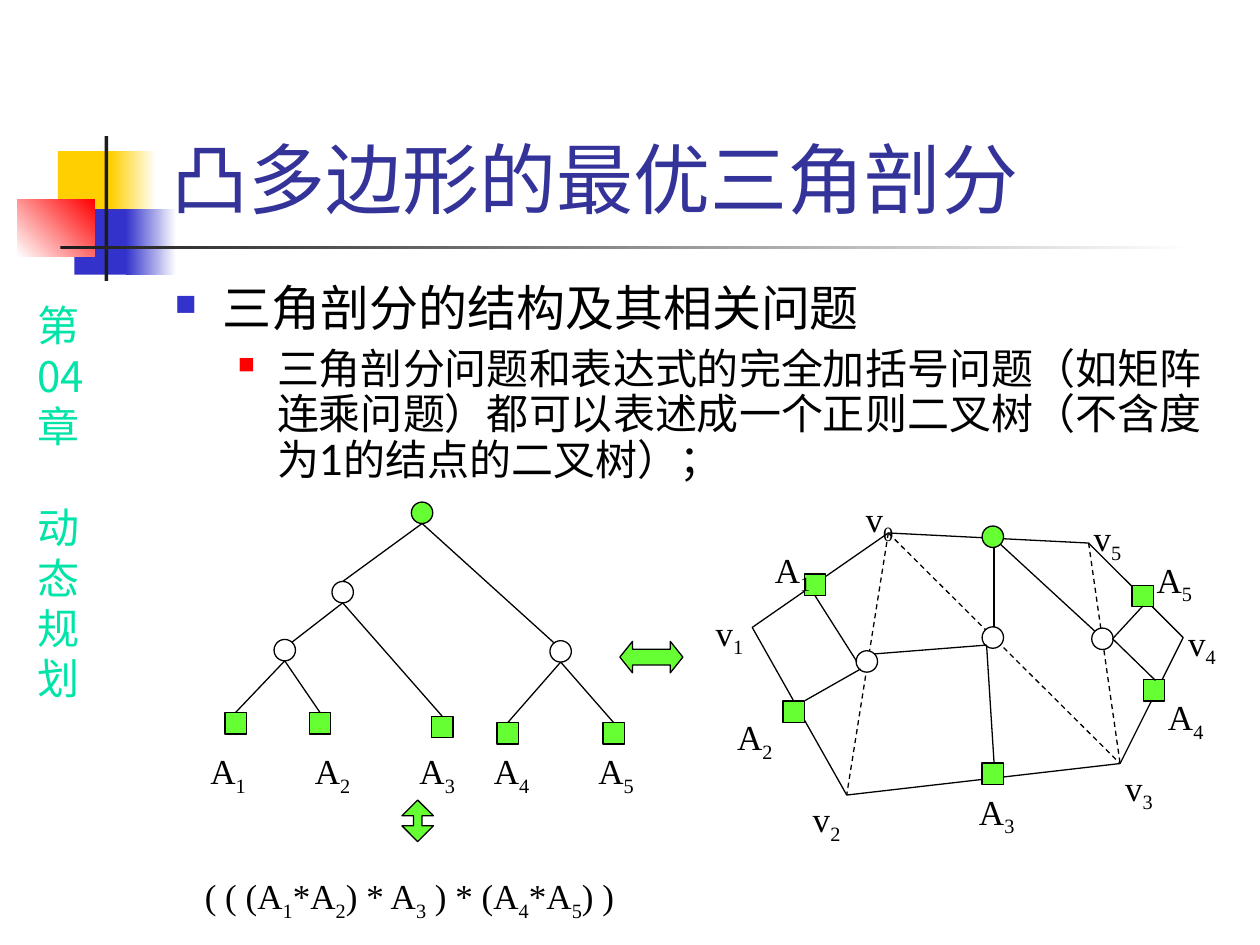
from itertools import groupby

from lxml.etree import SubElement
from pptx import Presentation
from pptx.dml.color import RGBColor
from pptx.enum.dml import MSO_LINE
from pptx.enum.shapes import MSO_CONNECTOR, MSO_SHAPE as SHAPE
from pptx.enum.text import MSO_ANCHOR as ANCHOR, PP_ALIGN as ALIGN
from pptx.oxml.ns import qn
from pptx.util import Inches, Pt

# The grid has 100 columns and 75 rows; every length is in grid steps.
COLS, ROWS, STEP = 100, 75, 0.1
NODE = 1.7
BLACK, WHITE, GREEN = "000000", "FFFFFF", "66FF33"
YELLOW, BLUE, RED, DARK = "FFCF01", "3333CC", "FF0000", "1C1C1C"
SERIF, SANS, CJK = "Times New Roman", "Lato", "Noto Sans CJK JP"


def grid(*steps):
    return [Inches(n * STEP) for n in steps]


def rgb(value):
    return RGBColor.from_string(value)


def style(target, **fmt):
    for key, value in fmt.items():
        setattr(target, key, value)


def outline(line, dash=None):
    line.color.rgb = rgb(BLACK)
    style(line, width=Pt(0.75), dash_style=dash)


def add_block(shapes, box, fill, angle=0):
    """Borderless bar; a pair of colours makes a gradient."""
    sp = shapes.add_shape(SHAPE.RECTANGLE, *grid(*box))
    sp.shadow.inherit = False
    sp.line.fill.background()
    if isinstance(fill, tuple):
        sp.fill.gradient()
        sp.fill.gradient_angle = angle
        for stop, color, pos in zip(sp.fill.gradient_stops, fill, (0, 1)):
            stop.color.rgb = rgb(color)
            stop.position = pos
    else:
        sp.fill.solid()
        sp.fill.fore_color.rgb = rgb(fill)


def add_outlined(shapes, kind, box, fill, adjust=()):
    sp = shapes.add_shape(kind, *grid(*box))
    sp.shadow.inherit = False
    sp.fill.solid()
    sp.fill.fore_color.rgb = rgb(fill)
    outline(sp.line)
    for i, value in enumerate(adjust):
        sp.adjustments[i] = value


def add_nodes(shapes, kind, centres, fill):
    for x, y in centres:
        add_outlined(shapes, kind, (x - NODE / 2, y - NODE / 2, NODE, NODE), fill)


def add_line(shapes, start, end, dash=None):
    line = shapes.add_connector(MSO_CONNECTOR.STRAIGHT, *grid(*start, *end))
    outline(line.line, dash)
    SubElement(line._element.spPr, qn("a:effectLst"))


def add_text(shapes, box, wrap=True, anchor=ANCHOR.TOP, top=0.5):
    tf = shapes.add_textbox(*grid(*box)).text_frame
    style(tf, word_wrap=wrap, vertical_anchor=anchor, margin_top=grid(top)[0])
    return tf


def add_run(p, text, size, font, color):
    r = p.add_run()
    r.text = text
    style(r.font, size=Pt(size), name=font)
    r.font.color.rgb = rgb(color)
    SubElement(r.font._element, qn("a:ea"), typeface=font)
    return r


def add_formula(shapes, box, text):
    """Centred serif text whose digits are subscripts."""
    p = add_text(shapes, box, wrap=False, top=1.2).paragraphs[0]
    p.alignment = ALIGN.CENTER
    for is_sub, chars in groupby(text, str.isdigit):
        r = add_run(p, "".join(chars), 20, SERIF, BLACK)
        if is_sub:
            r.font._element.set("baseline", "-25000")


def add_labels(shapes, letter, width, corners, first):
    for i, (x, y) in enumerate(corners, first):
        add_formula(shapes, (x, y, width, 4.8), f"{letter}{i}")


def add_bullet(p, text, size, color, percent, left, hang):
    pPr = p._p.get_or_add_pPr()
    style_inches = dict(marL=left, indent=-hang)
    for key, value in style_inches.items():
        pPr.set(key, str(grid(value)[0]))
    SubElement(SubElement(pPr, qn("a:buClr")), qn("a:srgbClr"), val=color)
    SubElement(pPr, qn("a:buSzPct"), val=str(percent * 1000))
    SubElement(pPr, qn("a:buChar"), char="■")
    p.line_spacing = 0.9
    add_run(p, text, size, SANS, BLACK)


def add_decoration(shapes):
    add_block(shapes, (4.6, 12, 4.8, 5.2), YELLOW)
    add_block(shapes, (8.8, 12, 3.6, 5.2), (YELLOW, WHITE))
    add_block(shapes, (5.9, 16.6, 4.6, 5.2), BLUE)
    add_block(shapes, (10, 16.6, 4, 5.2), (BLUE, WHITE))
    add_block(shapes, (1.4, 15.8, 6.1, 4.6), (WHITE, RED), 45)
    add_block(shapes, (8.3, 10.8, 0.3, 11.5), DARK)
    add_block(shapes, (4.8, 19.5, 90, 0.3), (DARK, WHITE))


def add_chapter(shapes):
    tf = add_text(shapes, (2, 23.3, 5.8, 33), wrap=False)
    for i, text in enumerate(("第", "04", "章", "动", "态", "规", "划")):
        p = tf.add_paragraph() if i else tf.paragraphs[0]
        add_run(p, text, 24, CJK, "00E4A8")
        if text == "动":
            p.space_before = Pt(29)


def add_heading_and_body(shapes):
    tf = add_text(shapes, (12.6, 2.3, 85.2, 16), anchor=ANCHOR.BOTTOM)
    add_run(tf.paragraphs[0], "凸多边形的最优三角剖分", 44, SANS, "333399")
    tf = add_text(shapes, (12.9, 22.1, 84.2, 17.3))
    add_bullet(tf.paragraphs[0], "三角剖分的结构及其相关问题", 28, BLUE, 60, 3.8, 3.8)
    p = tf.add_paragraph()
    p.level = 1
    add_bullet(p, "三角剖分问题和表达式的完全加括号问题（如矩阵连乘问题）"
               "都可以表述成一个正则二叉树（不含度为1的结点的二叉树）；",
               24, RED, 55, 8.1, 3.1)
    p.space_before = Pt(6)


def add_polygon(shapes):
    v = [(70.5, 42.3), (59.7, 49.8), (67.2, 63.1), (88.9, 60.6), (93.9, 50.6), (86.4, 43.1)]
    points = [grid(*point) for point in v]
    builder = shapes.build_freeform(*points[0], scale=1.0)
    builder.add_line_segments(points[1:], close=True)
    sp = builder.convert_to_shape()
    sp.shadow.inherit = False
    sp.fill.background()
    outline(sp.line)
    for a, b in ((0, 2), (0, 3), (5, 3)):
        add_line(shapes, v[a], v[b], MSO_LINE.DASH)
    add_labels(shapes, "v", 4.2, [(67.7, 38.3), (55.8, 47.3), (63.5, 62.1),
                                  (88.3, 59.6), (93.3, 48.1), (85.8, 39.8)], 0)

    # One circle per triangle, one square per side
    add_nodes(shapes, SHAPE.OVAL, [(78.8, 42.6)], GREEN)
    add_nodes(shapes, SHAPE.OVAL, [(78.8, 50.6), (87.5, 50.7), (68.8, 52.5)], WHITE)
    add_nodes(shapes, SHAPE.RECTANGLE, [(64.7, 46.4), (63, 56.5), (78.8, 61.4),
                                        (91.6, 54.8), (90.7, 47.3)], GREEN)
    for start, end in (((78.9, 43.5), (78.9, 49.8)), ((79.4, 43.2), (86.9, 50.1)),
                       ((78.3, 51.2), (69.4, 51.9)), ((78.3, 51.2), (78.9, 60.6)),
                       ((68, 52.5), (64.7, 47.3)), ((68.3, 53.1), (63.9, 55.6)),
                       ((88.3, 50.7), (90.7, 48.1)), ((88.3, 50.7), (91.7, 54))):
        add_line(shapes, start, end)
    add_labels(shapes, "A", 4.8, [(60.5, 42.3), (57.5, 55.6), (76.7, 61.5),
                                  (91.7, 54), (90.8, 43.1)], 1)


def add_tree(shapes):
    root, left, right, low = (33.5, 40.7), (27.2, 47), (44.5, 51.7), (22.6, 51.6)
    leaves = [(18.7, 57.4), (25.4, 57.4), (35.1, 57.7), (40.3, 58.2), (48.7, 58.2)]
    add_nodes(shapes, SHAPE.OVAL, [root], GREEN)
    add_nodes(shapes, SHAPE.OVAL, [left, right, low], WHITE)
    add_nodes(shapes, SHAPE.RECTANGLE, leaves, GREEN)

    # Edges run from the foot of a parent to the top of a child, moved by dx, dy
    edges = [(root, left, 0, 0), (root, right, -0.5, 0.2), (left, low, 0.6, 0.2),
             (left, leaves[2], 0, 0), (low, leaves[0], 0, 0), (low, leaves[1], 0, 0),
             (right, leaves[3], 0, 0), (right, leaves[4], 0, 0)]
    for (px, py), (cx, cy), dx, dy in edges:
        add_line(shapes, (px, py + NODE / 2), (cx + dx, cy - NODE / 2 + dy))
    add_labels(shapes, "A", 4.8, [(x, 58.3) for x in (15.7, 24, 32.3, 38.2, 46.5)], 1)


def main():
    prs = Presentation()
    prs.slide_width, prs.slide_height = grid(COLS, ROWS)
    s = prs.slides.add_slide(prs.slide_layouts[6])
    add_decoration(s.shapes)
    add_chapter(s.shapes)
    add_heading_and_body(s.shapes)
    for draw in (add_polygon, add_tree):
        draw(s.shapes.add_group_shape().shapes)

    # Expression and the equivalence arrows
    add_formula(s.shapes, (15.2, 68.2, 34.6, 4.8), "( ( (A1*A2) * A3 ) * (A4*A5) )")
    add_outlined(s.shapes, SHAPE.UP_DOWN_ARROW, (31.9, 63.5, 2.5, 3.3), GREEN, (0.5, 0.27))
    add_outlined(s.shapes, SHAPE.LEFT_RIGHT_ARROW, (49.2, 50.9, 5, 2.5), GREEN, (0.5, 0.4))
    prs.save("out.pptx")


if __name__ == "__main__":
    main()
